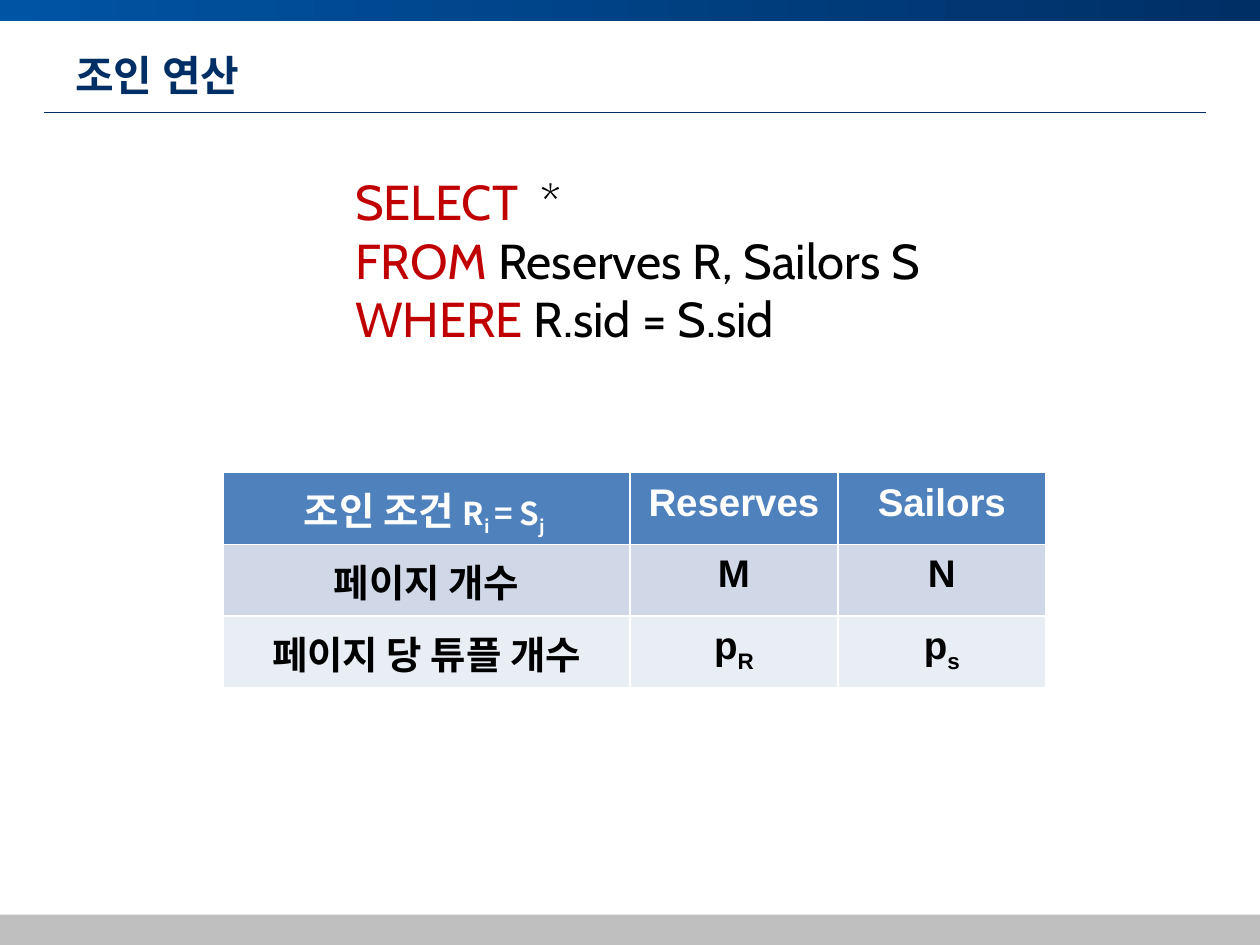
from pptx import Presentation
from pptx.dml.color import RGBColor
from pptx.enum.shapes import MSO_CONNECTOR, MSO_SHAPE
from pptx.enum.text import MSO_ANCHOR, PP_ALIGN
from pptx.oxml.ns import qn
from pptx.util import Inches, Pt
from lxml import etree

COLORS = {"blue": "0054A4", "navy": "002F65", "gray": "BFBFBF", "red": "C00000",
          "black": "000000", "white": "FFFFFF", "head": "4F81BD",
          "band1": "D0D8E8", "band2": "E9EDF4"}
KOREAN = "Noto Sans CJK KR"


def rgb(name):
    return RGBColor.from_string(COLORS[name])


def add_run(p, text, size, font, color, bold=False, sub=False):
    r = p.add_run()
    r.text = text
    r.font.size = Pt(size)
    r.font.name = font
    r.font.bold = bold
    r.font.color.rgb = rgb(color)
    rPr = r.font._element
    etree.SubElement(rPr, qn("a:ea")).set("typeface", KOREAN)
    if sub:
        rPr.set("baseline", "-25000")


prs = Presentation()
prs.slide_width, prs.slide_height = Inches(10), Inches(7.5)
s = prs.slides.add_slide(prs.slide_layouts[6])

for top, height in [(0, 0.17), (7.26, 0.25)]:
    bar = s.shapes.add_shape(MSO_SHAPE.RECTANGLE, 0, Inches(top), Inches(10), Inches(height))
    bar.shadow.inherit = False
    bar.line.fill.background()
    if top == 0:
        bar.fill.gradient()
        bar.fill.gradient_angle = 0
        for stop, color in zip(bar.fill.gradient_stops, ["blue", "navy"]):
            stop.color.rgb = rgb(color)
    else:
        bar.fill.solid()
        bar.fill.fore_color.rgb = rgb("gray")

rule = s.shapes.add_connector(MSO_CONNECTOR.STRAIGHT, Inches(0.35), Inches(0.89),
                              Inches(9.57), Inches(0.89))
rule.line.color.rgb = rgb("navy")
rule.line.width = Pt(0.5)
etree.SubElement(rule._element.spPr, qn("a:effectLst"))

title = s.shapes.add_textbox(Inches(0.5), Inches(0.3), Inches(9), Inches(0.58))
tf = title.text_frame
tf.word_wrap = True
tf.vertical_anchor = MSO_ANCHOR.MIDDLE
add_run(tf.paragraphs[0], "조인 연산", 24, KOREAN, "navy", bold=True)

query = s.shapes.add_textbox(Inches(2.72), Inches(1.31), Inches(4.87), Inches(1.51))
tf = query.text_frame
tf.word_wrap = False
clauses = [("SELECT", "  *"), ("FROM", " Reserves R, Sailors S"), ("WHERE", " R.sid = S.sid")]
for i, (keyword, rest) in enumerate(clauses):
    p = tf.add_paragraph() if i else tf.paragraphs[0]
    add_run(p, keyword, 28, "Cabin", "red")
    add_run(p, rest, 28, "Cabin", "black")

rows = [
    [[("조인 조건 ", 22, False), ("R", 18, False), ("i ", 18, True), ("= S", 18, False),
      ("j ", 18, True)], [("Reserves", 22, False)], [("Sailors", 22, False)]],
    [[("페이지 개수", 22, False)], [("M", 22, False)], [("N", 22, False)]],
    [[("페이지 당 튜플 개수", 22, False)], [("p", 22, False), ("R", 22, True)],
     [("p", 22, False), ("s", 22, True)]],
]
table = s.shapes.add_table(3, 3, Inches(1.77), Inches(3.75), Inches(6.53), Inches(1.7)).table
for col, width in zip(table.columns, [3.23, 1.65, 1.65]):
    col.width = Inches(width)
for i, (row, fill) in enumerate(zip(rows, ["head", "band1", "band2"])):
    table.rows[i].height = Inches(0.57)
    for j, runs in enumerate(row):
        cell = table.cell(i, j)
        cell.fill.solid()
        cell.fill.fore_color.rgb = rgb(fill)
        cell.margin_left = cell.margin_right = Inches(0.14)
        cell.margin_top = cell.margin_bottom = Inches(0.07)
        p = cell.text_frame.paragraphs[0]
        p.alignment = PP_ALIGN.CENTER
        for text, size, sub in runs:
            add_run(p, text, size, "Arial" if size == 22 else KOREAN,
                    "black" if i else "white", bold=True, sub=sub)

prs.save("out.pptx")
